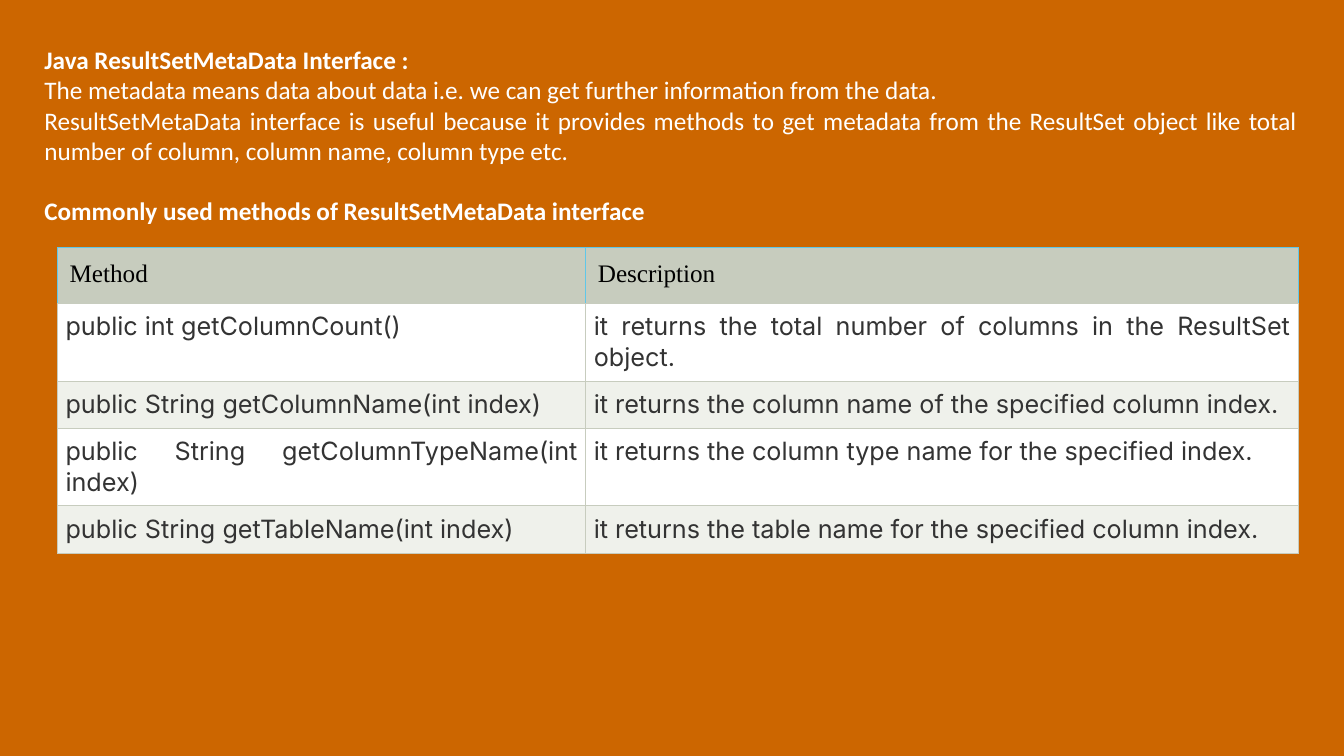
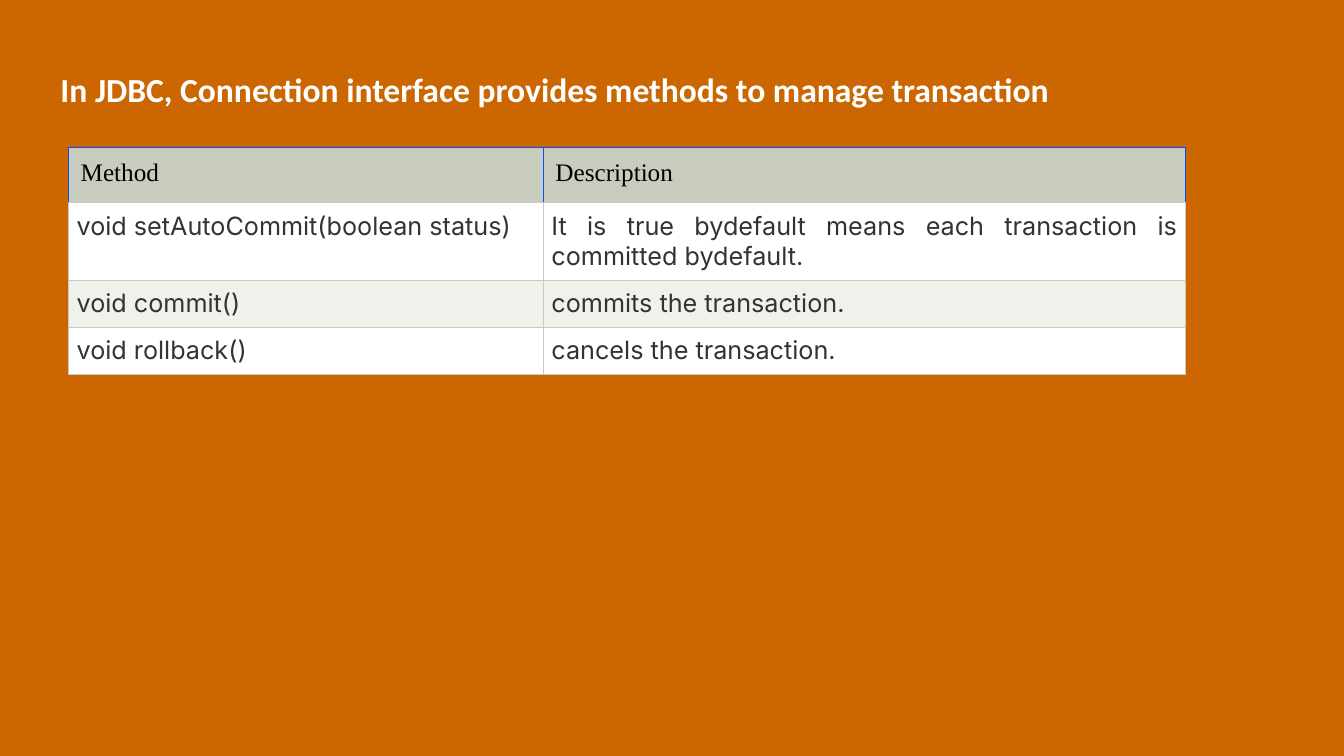
import dataclasses

import lxml.etree
import pptx
import pptx.dml.color
import pptx.enum.text
import pptx.oxml.ns
import pptx.util

Inches = pptx.util.Inches
Pt = pptx.util.Pt
ALIGN = pptx.enum.text.PP_ALIGN


@dataclasses.dataclass(frozen=True)
class Theme:
    """Colours, fonts and sizes shared by the slides."""
    back: str = "CC6600"
    light: str = "FFFFFF"
    head: str = "C7CCBE"
    band: str = "EFF1EB"
    ink: str = "333333"
    black: str = "000000"
    aqua: str = "60C7E8"
    blue: str = "084DFC"
    text_font: str = "Calibri"
    head_font: str = "Times New Roman"
    cell_font: str = "Inter"
    text_size: float = 18
    title_size: float = 24
    line: float = 0.75
    gap: float = 21.6


THEME = Theme()
HEADS = ("Method", "Description")


def rgb(code):
    """Turn a hex code into a colour."""
    return pptx.dml.color.RGBColor.from_string(code)


def style(para, size, font, color, bold=False, align=ALIGN.LEFT):
    """Format a paragraph and its runs."""
    para.alignment = align
    for run in para.runs:
        run.font.size = Pt(size)
        run.font.name = font
        run.font.bold = bold
        run.font.color.rgb = rgb(color)


def place(shape, box):
    """Move a placeholder and lay its text out from the top."""
    shape.left, shape.top, shape.width, shape.height = map(Inches, box)
    frame = shape.text_frame
    frame.word_wrap = True
    frame.auto_size = pptx.enum.text.MSO_AUTO_SIZE.NONE
    frame.vertical_anchor = pptx.enum.text.MSO_ANCHOR.TOP
    return frame


def add_title(slide, text, box, size):
    """Fill the title placeholder."""
    frame = place(slide.shapes.title, box)
    frame.text = text
    style(frame.paragraphs[0], size, THEME.text_font, THEME.light, bold=True)


def add_body(slide, lines, closing, box):
    """Fill the body with plain lines and a bold closing line."""
    frame = place(slide.placeholders[1], box)
    frame.text = "\n".join((*lines, closing))
    for para in frame.paragraphs:
        last = para.text == closing
        style(para, THEME.text_size, THEME.text_font, THEME.light,
              bold=last, align=ALIGN.JUSTIFY)
        para.space_before = Pt(THEME.gap if last else 0)
        props = para._p.get_or_add_pPr()
        props.set("marL", "0")
        props.set("indent", "0")
        lxml.etree.SubElement(props, pptx.oxml.ns.qn("a:buNone"))


def add_edges(cell, colors):
    """Draw the left, right, top and bottom borders of a cell."""
    qn = pptx.oxml.ns.qn
    props = cell._tc.get_or_add_tcPr()
    for side, color in zip("LRTB", colors):
        line = lxml.etree.SubElement(props, qn("a:ln" + side),
                                     w=str(Pt(THEME.line)))
        fill = lxml.etree.SubElement(line, qn("a:solidFill"))
        lxml.etree.SubElement(fill, qn("a:srgbClr"), val=color)


def set_cell(cell, text, row, edge):
    """Write one cell as a header cell or a banded body cell."""
    is_head = row == 0
    pad = Inches(0.12 if is_head else 0.08)
    cell.margin_left = cell.margin_right = pad
    cell.margin_top = cell.margin_bottom = pad
    cell.text = text
    para = cell.text_frame.paragraphs[0]
    if is_head:
        style(para, THEME.text_size, THEME.head_font, THEME.black)
        fill, rim = THEME.head, edge
    else:
        style(para, THEME.text_size, THEME.cell_font, THEME.ink,
              align=ALIGN.JUSTIFY)
        fill = THEME.light if row % 2 else THEME.band
        rim = THEME.head
    top = THEME.head if row == 1 else rim
    add_edges(cell, (rim, rim, top, THEME.head))
    cell.fill.solid()
    cell.fill.fore_color.rgb = rgb(fill)


def add_grid(slide, spot, widths, heights, rows, edge):
    """Add a table of methods under the shared headings."""
    rows = (HEADS, *rows)
    size = sum(widths), sum(heights)
    table = slide.shapes.add_table(len(rows), len(HEADS),
                                   *map(Inches, spot + size)).table
    table.first_row = table.horz_banding = False
    for col, width in zip(table.columns, widths):
        col.width = Inches(width)
    for row, height in zip(table.rows, heights):
        row.height = Inches(height)
    for i, texts in enumerate(rows):
        for j, text in enumerate(texts):
            set_cell(table.cell(i, j), text, i, edge)


def meta_slide(deck):
    """Build the slide on result set metadata."""
    slide = deck.slides.add_slide(deck.slide_layouts[1])
    add_title(slide, "Java ResultSetMetaData Interface :",
              (0.34, 0.39, 12.63, 0.4), THEME.text_size)
    add_body(slide, (
        "The metadata means data about data i.e. we can get further "
        "information from the data.",
        "ResultSetMetaData interface is useful because it provides methods "
        "to get metadata from the ResultSet object like total number of "
        "column, column name, column type etc.",
    ), "Commonly used methods of ResultSetMetaData interface",
        (0.34, 0.69, 12.63, 1.92))
    add_grid(slide, (0.57, 2.46), (5.24, 7.07),
             (0.55, 0.77, 0.47, 0.77, 0.47), (
        ("public int getColumnCount()",
         "it returns the total number of columns in the ResultSet object."),
        ("public String getColumnName(int index)",
         "it returns the column name of the specified column index."),
        ("public String getColumnTypeName(int index)",
         "it returns the column type name for the specified index."),
        ("public String getTableName(int index)",
         "it returns the table name for the specified column index."),
    ), THEME.aqua)


def commit_slide(deck):
    """Build the slide on managing transactions."""
    slide = deck.slides.add_slide(deck.slide_layouts[5])
    add_title(slide, "In JDBC,\u00a0Connection interface\u00a0provides "
              "methods to manage transaction",
              (0.5, 0.63, 11.63, 0.5), THEME.title_size)
    add_grid(slide, (0.68, 1.46), (4.71, 6.37), (0.55, 0.77, 0.47, 0.47), (
        ("void setAutoCommit(boolean status)",
         "It is true bydefault means each transaction is committed "
         "bydefault."),
        ("void commit()", "commits the transaction."),
        ("void rollback()", "cancels the transaction."),
    ), THEME.blue)


def main():
    """Build and save the deck."""
    deck = pptx.Presentation()
    deck.slide_width, deck.slide_height = Inches(13.33), Inches(7.5)
    back = deck.slide_master.background.fill
    back.solid()
    back.fore_color.rgb = rgb(THEME.back)
    meta_slide(deck)
    commit_slide(deck)
    deck.save("out.pptx")


main()
